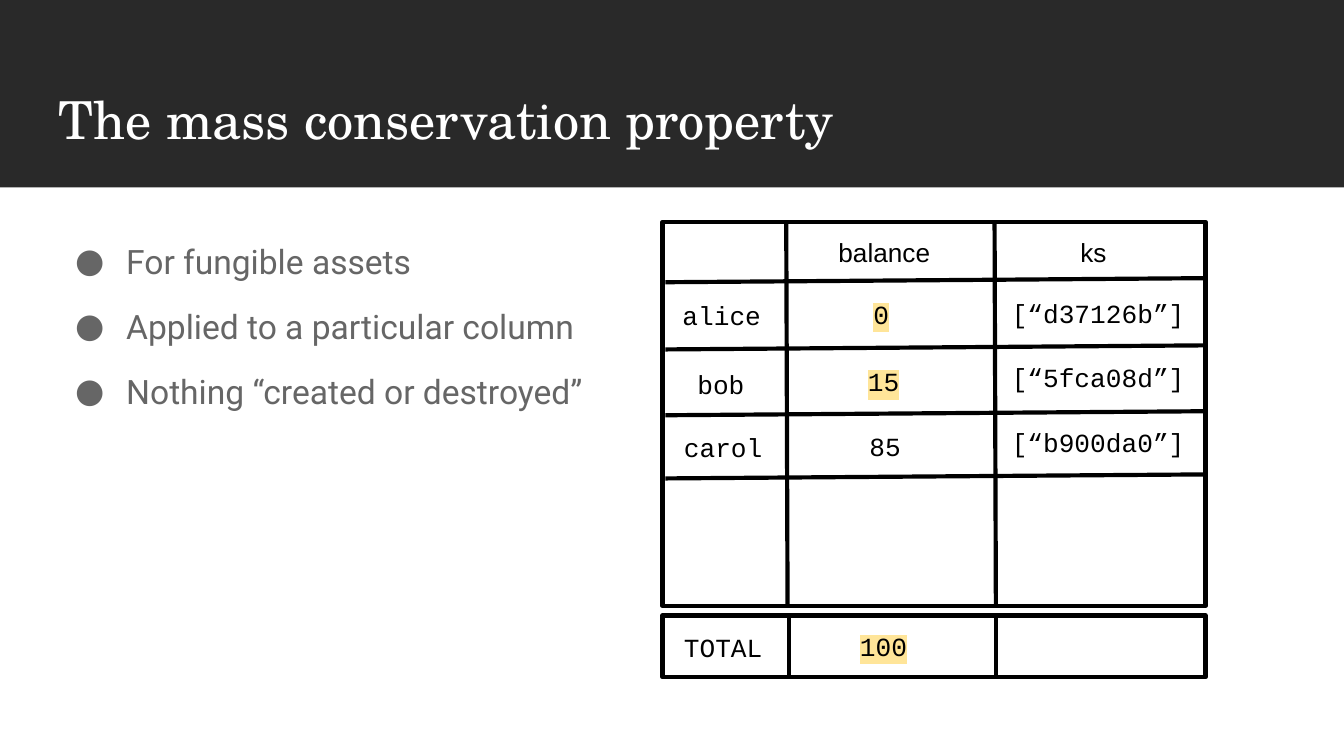
from lxml.etree import SubElement
from pptx import Presentation
from pptx.dml.color import RGBColor
from pptx.enum.shapes import MSO_CONNECTOR, MSO_SHAPE
from pptx.oxml.ns import qn
from pptx.util import Inches, Pt

prs = Presentation()
prs.slide_width = Inches(10)
prs.slide_height = prs.slide_width * 9 // 16
s = prs.slides.add_slide(prs.slide_layouts[6])
COL = ROW = prs.slide_width / 100


def rgb(value):
    return RGBColor.from_string(value)


def add_text(lines, x, y, w, h, font, size, color):
    sp = s.shapes.add_textbox(int(x * COL), int(y * ROW), int(w * COL), int(h * ROW))
    tf = sp.text_frame
    tf.word_wrap = True
    tf.margin_left = tf.margin_right = tf.margin_top = tf.margin_bottom = int(COL)
    tf.text = "\n".join(lines)
    for p in tf.paragraphs:
        p.font.name, p.font.size = font, Pt(size)
        p.font.color.rgb = rgb(color)
    return tf


band = s.shapes.add_shape(MSO_SHAPE.RECTANGLE, 0, 0, prs.slide_width, int(13.95 * ROW))
band.shadow.inherit = False
band.fill.solid()
band.fill.fore_color.rgb = rgb("292929")
band.line.fill.background()

add_text(["The mass conservation property"], 3.4, 5.5, 93.2, 6.8, "TeX Gyre Schola", 28, "FFFFFF")

bullets = ["For fungible assets", "Applied to a particular column", "Nothing “created or destroyed”"]
tf = add_text(bullets, 3.4, 16.5, 43.9, 37.9, "Roboto", 18, "666666")
for i, p in enumerate(tf.paragraphs):
    p.line_spacing = 1.15
    p.space_before = Pt(10 if i else 0)
    pPr = p._p.get_or_add_pPr()
    pPr.set("marL", str(Inches(0.5)))
    pPr.set("indent", str(Inches(-0.38)))
    for tag, name, value in [("a:buFont", "typeface", "Roboto"), ("a:buChar", "char", "●")]:
        pPr.find(qn("a:defRPr")).addprevious(pPr.makeelement(qn(tag), {name: value}))
tf.paragraphs[-1].space_after = Pt(10)

LEFT, WIDTH, RIGHT = 49.3, 40.4, 89.7
for top, height in [(16.5, 28.6), (45.8, 4.6)]:
    sp = s.shapes.add_shape(MSO_SHAPE.RECTANGLE, int(LEFT * COL), int(top * ROW),
                            int(WIDTH * COL), int(height * ROW))
    sp.shadow.inherit = False
    sp.fill.solid()
    sp.fill.fore_color.rgb = rgb("FFFFFF")
    sp.line.color.rgb = rgb("000000")
    sp.line.width = Pt(2.25)

rules = [(49.5, y, RIGHT, y - 0.3) for y in (21, 26, 30.9, 35.6)]
rules += [(x, 16.5, x + 0.1, 45.1) for x in (58.5, 74)]
rules += [(x, 45.8, x, 50.4) for x in (58.7, 74.1)]
for x1, y1, x2, y2 in rules:
    line = s.shapes.add_connector(MSO_CONNECTOR.STRAIGHT, int(x1 * COL), int(y1 * ROW),
                                  int(x2 * COL), int(y2 * ROW))
    line.line.color.rgb = rgb("000000")
    line.line.width = Pt(2.25)
    SubElement(line._element.spPr, qn("a:effectLst"))

for text, x in [("balance", 61.4), ("ks", 79.4)]:
    add_text([text], x, 16.6, 11.1, 2.7, "Arial", 14, "000000")

cells = [
    ("alice", 49.8, 21.3, 8.4, 2.7), ("bob", 50.9, 26.4, 6.9, 2.7),
    ("carol", 49.9, 31.1, 7.9, 2.7), ("TOTAL", 49.9, 46, 7.9, 2.7),
    ("0", 64, 21.2, 5.1, 3.3), ("15", 63.6, 26.2, 5.1, 3.3),
    ("85", 63.7, 31, 5.1, 3.3), ("100", 63, 45.9, 6.9, 3.3),
    ("[“d37126b”]", 74.3, 21.1, 15, 3.3), ("[“5fca08d”]", 74.3, 25.9, 15, 3.3),
    ("[“b900da0”]", 74.3, 30.7, 15, 3.3),
]
for text, x, y, w, h in cells:
    tf = add_text([text], x, y, w, h, "Courier New", 14, "000000")
    if text in ("0", "15", "100"):
        r = tf.paragraphs[0].runs[0]
        highlight = SubElement(r._r.get_or_add_rPr(), qn("a:highlight"))
        SubElement(highlight, qn("a:srgbClr"), val="FFE599")

prs.save("out.pptx")
